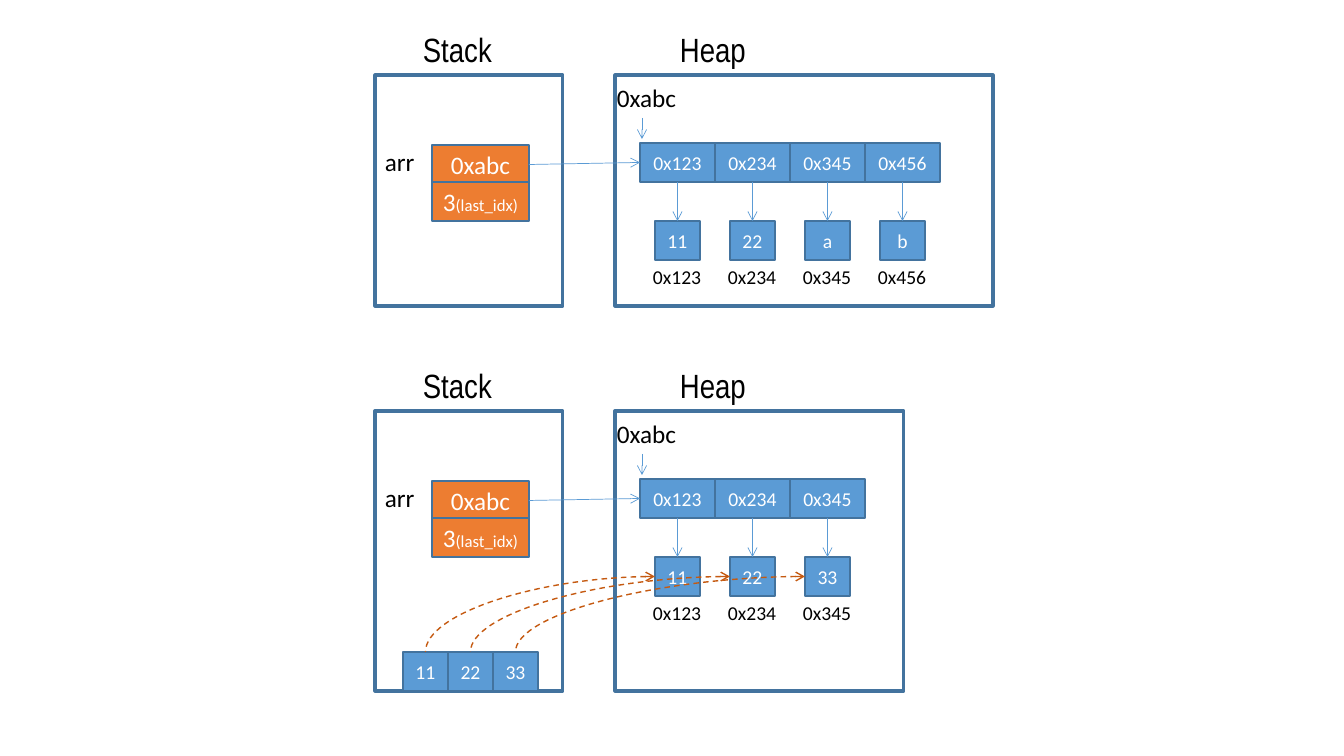
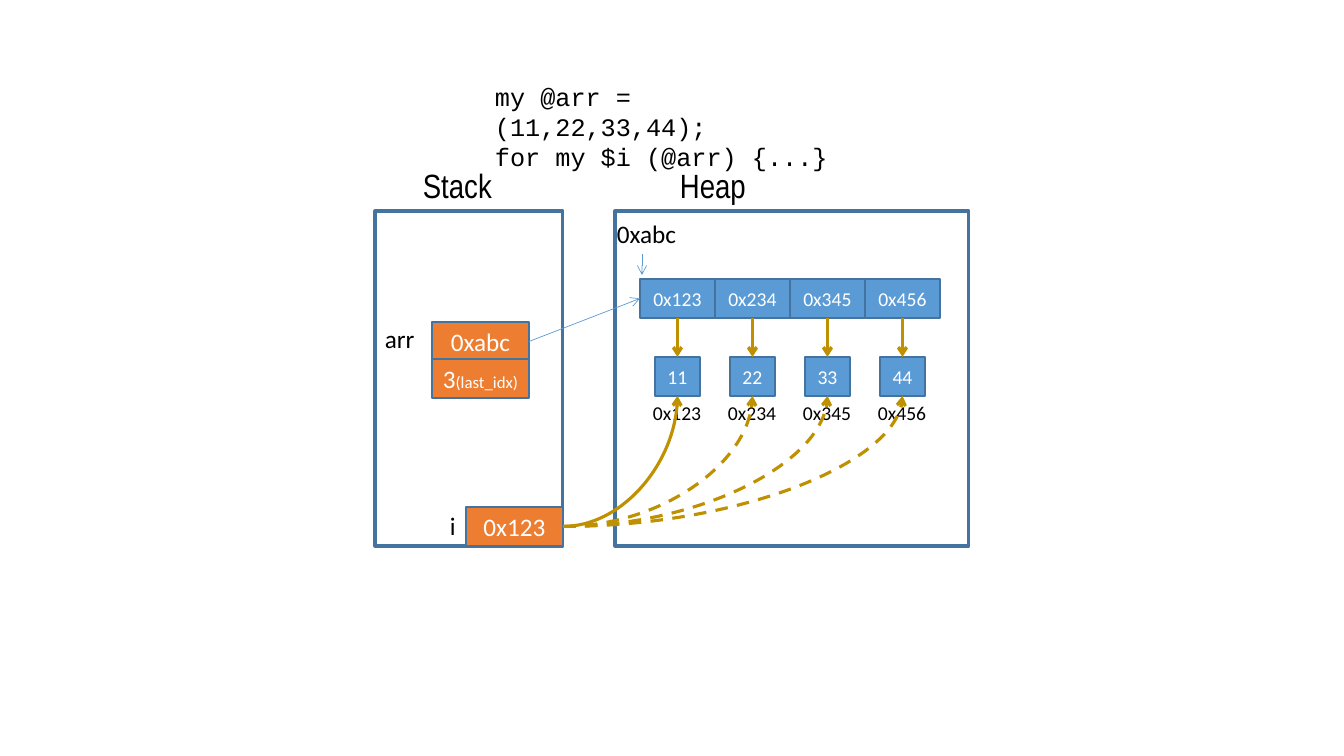
import dataclasses
import typing

import pptx
import pptx.dml.color
import pptx.enum.dml
import pptx.enum.shapes
import pptx.enum.text
import pptx.oxml
import pptx.oxml.ns
import pptx.util

PIXEL = 914400 / 100.8
SLIDE_WIDTH, SLIDE_HEIGHT = 1344, 756

BLUE, ORANGE, OUTLINE = "5B9BD5", "ED7D31", "43739E"
RUST, GOLD = "C55A11", "BF9000"
BLACK, WHITE = "000000", "FFFFFF"
BODY_FONT, TITLE_FONT, CODE_FONT = "Calibri", "Arial Narrow", "Courier New"

TOP, LEFT, BOTTOM, RIGHT = 0, 1, 2, 3  # connection sites of a rectangle

STACK_LEFT, STACK_WIDTH, HEAP_LEFT = 375, 188, 615
POINTER_LEFT, POINTER_WIDTH, POINTER_STEP = 432, 97, 37
CELL_LEFT, CELL_PITCH, BOX_HEIGHT = 640, 75, 39
ITEM_WIDTH, ADDRESS_WIDTH = 45, 69
ADDRESSES = ["0x123", "0x234", "0x345", "0x456"]

Slide = typing.Any
Shape = typing.Any


@dataclasses.dataclass(frozen=True)
class Stroke:
    """Look of an arrow."""
    color: str
    width: float
    dashed: bool = False


THIN_BLUE = Stroke(BLUE, 0.5)
COPY_STROKE = Stroke(RUST, 1, True)
CURRENT_STROKE = Stroke(GOLD, 2.25)
NEXT_STROKE = Stroke(GOLD, 2.25, True)


@dataclasses.dataclass(frozen=True)
class Memory:
    """One stack and heap diagram; pointer is measured from the frame top."""
    top: int
    height: int
    heap_width: int
    pointer: int
    items: list[str]
    item_stroke: Stroke = THIN_BLUE


def px(length: float) -> int:
    """Turn pixels into EMU."""
    return round(length * PIXEL)


def rgb(color: str) -> pptx.dml.color.RGBColor:
    """Turn a hex string into a colour."""
    return pptx.dml.color.RGBColor.from_string(color)


def style_font(font: typing.Any, name: str, size: float, color: str) -> None:
    """Set family, size and colour of a font."""
    font.name = name
    font.size = pptx.util.Pt(size)
    font.color.rgb = rgb(color)


def add_label(slide: Slide, left: int, top: int, width: int, height: int,
              lines: list[str], size: float = 18, font: str = BODY_FONT,
              wrap: bool = False) -> None:
    """Add plain black text, one paragraph a line."""
    label = slide.shapes.add_textbox(px(left), px(top), px(width), px(height))
    frame = label.text_frame
    frame.word_wrap = wrap
    frame.auto_size = pptx.enum.text.MSO_AUTO_SIZE.SHAPE_TO_FIT_TEXT
    frame.text = "\n".join(lines)
    for para in frame.paragraphs:
        style_font(para.font, font, size, BLACK)


def add_rectangle(slide: Slide, left: int, top: int, width: int, height: int,
                  line_width: float) -> Shape:
    """Add an outlined rectangle without fill."""
    box = slide.shapes.add_shape(pptx.enum.shapes.MSO_SHAPE.RECTANGLE,
                                 px(left), px(top), px(width), px(height))
    box.shadow.inherit = False
    box.fill.background()
    box.line.color.rgb = rgb(OUTLINE)
    box.line.width = pptx.util.Pt(line_width)
    return box


def add_box(slide: Slide, left: int, top: int, width: int, text: str,
            fill: str = BLUE, size: float = 14, note: str = "") -> Shape:
    """Add a filled memory box with centred text and an optional small note."""
    box = add_rectangle(slide, left, top, width, BOX_HEIGHT, 1)
    box.fill.solid()
    box.fill.fore_color.rgb = rgb(fill)
    frame = box.text_frame
    frame.word_wrap = False
    frame.vertical_anchor = pptx.enum.text.MSO_ANCHOR.MIDDLE
    para = frame.paragraphs[0]
    para.alignment = pptx.enum.text.PP_ALIGN.CENTER
    style_font(para.font, BODY_FONT, size, WHITE)
    para.add_run().text = text
    if note:
        span = para.add_run()
        span.text = note
        span.font.size = pptx.util.Pt(12)
    return box


def site_point(box: Shape, site: int) -> tuple[int, int]:
    """Return the place of a connection site in EMU."""
    middle, center = box.top + box.height // 2, box.left + box.width // 2
    return {TOP: (center, box.top), LEFT: (box.left, middle),
            BOTTOM: (center, box.top + box.height),
            RIGHT: (box.left + box.width, middle)}[site]


def add_line(slide: Slide, start: tuple[int, int], end: tuple[int, int],
             stroke: Stroke, curved: bool = False,
             arrow_end: str = "tailEnd") -> Shape:
    """Add an arrow between two points in EMU."""
    kinds = pptx.enum.shapes.MSO_CONNECTOR
    kind = kinds.CURVE if curved else kinds.STRAIGHT
    line = slide.shapes.add_connector(kind, *start, *end)
    line.line.color.rgb = rgb(stroke.color)
    line.line.width = pptx.util.Pt(stroke.width)
    if stroke.dashed:
        line.line.dash_style = pptx.enum.dml.MSO_LINE.DASH
    qn = pptx.oxml.ns.qn
    properties = line.element.spPr
    if curved:
        properties.find(qn("a:prstGeom")).set("prst", "curvedConnector2")
    head = properties.find(qn("a:ln")).makeelement(qn(f"a:{arrow_end}"),
                                                   {"type": "arrow"})
    properties.find(qn("a:ln")).append(head)
    properties.append(properties.makeelement(qn("a:effectLst"), {}))
    return line


def connect(slide: Slide, source: Shape, source_site: int, target: Shape,
            target_site: int, stroke: Stroke, curved: bool = False,
            arrow_end: str = "tailEnd") -> None:
    """Glue an arrow to two boxes."""
    line = add_line(slide, site_point(source, source_site),
                    site_point(target, target_site), stroke, curved, arrow_end)
    line.begin_connect(source, source_site)
    line.end_connect(target, target_site)


def draw_memory(slide: Slide, memory: Memory) -> list[Shape]:
    """Draw a stack and heap diagram and return the boxes of its items."""
    top = memory.top
    add_rectangle(slide, STACK_LEFT, top, STACK_WIDTH, memory.height, 2.25)
    add_rectangle(slide, HEAP_LEFT, top, memory.heap_width, memory.height, 2.25)
    add_label(slide, 413, top - 51, 97, 50, ["Stack"], 24, TITLE_FONT)
    add_label(slide, 670, top - 51, 89, 50, ["Heap"], 24, TITLE_FONT)

    pointer_top = top + memory.pointer
    add_label(slide, STACK_LEFT, pointer_top - 4, 54, 40, ["arr"])
    pointer = add_box(slide, POINTER_LEFT, pointer_top, POINTER_WIDTH,
                      "0xabc", ORANGE, 18)
    add_box(slide, POINTER_LEFT, pointer_top + POINTER_STEP, POINTER_WIDTH,
            "3", ORANGE, 18, "(last_idx)")

    add_label(slide, 607, top + 2, 82, 40, ["0xabc"])
    add_line(slide, (px(642), px(top + 43)), (px(642), px(top + 64)), THIN_BLUE)

    cells, items = [], []
    for index, (address, text) in enumerate(zip(ADDRESSES, memory.items)):
        left = CELL_LEFT + index * CELL_PITCH
        cells.append(add_box(slide, left, top + 68, CELL_PITCH, address))
        items.append(add_box(slide, left + (CELL_PITCH - ITEM_WIDTH) // 2,
                             top + 146, ITEM_WIDTH, text))
        add_label(slide, left + (CELL_PITCH - ADDRESS_WIDTH) // 2, top + 185,
                  ADDRESS_WIDTH, 34, [address], 14)
        connect(slide, cells[-1], BOTTOM, items[-1], TOP, memory.item_stroke)
    connect(slide, pointer, RIGHT, cells[0], LEFT, THIN_BLUE)
    return items


def build_copy_slide(slide: Slide) -> None:
    """Show an array, and one whose values come from the stack."""
    draw_memory(slide, Memory(75, 231, 378, 70, ["11", "22", "a", "b"]))
    filled = Memory(411, 280, 289, 70, ["11", "22", "33"])
    items = draw_memory(slide, filled)
    sources = [add_box(slide, 403 + index * ITEM_WIDTH, 652, ITEM_WIDTH, text)
               for index, text in enumerate(filled.items)]
    for source, item in zip(sources, items):
        connect(slide, item, LEFT, source, TOP, COPY_STROKE, True, "headEnd")


def build_loop_slide(slide: Slide) -> None:
    """Show the loop variable pointing at each item in turn."""
    items = draw_memory(slide, Memory(211, 335, 354, 111,
                                      ["11", "22", "33", "44"], CURRENT_STROKE))
    variable = add_box(slide, 466, 507, POINTER_WIDTH, "0x123", ORANGE, 18)
    add_label(slide, 440, 505, 28, 40, ["i"])
    for index, item in enumerate(items):
        stroke = NEXT_STROKE if index else CURRENT_STROKE
        connect(slide, variable, RIGHT, item, BOTTOM, stroke, True)
    add_label(slide, 485, 76, 375, 72,
              ["my @arr = (11,22,33,44);", "for my $i (@arr) {...}"],
              font=CODE_FONT, wrap=True)


def main() -> None:
    """Build and save the deck."""
    deck = pptx.Presentation()
    deck.slide_width, deck.slide_height = px(SLIDE_WIDTH), px(SLIDE_HEIGHT)
    blank = deck.slide_layouts[6]
    for build in (build_copy_slide, build_loop_slide):
        build(deck.slides.add_slide(blank))
    deck.save("out.pptx")


main()
